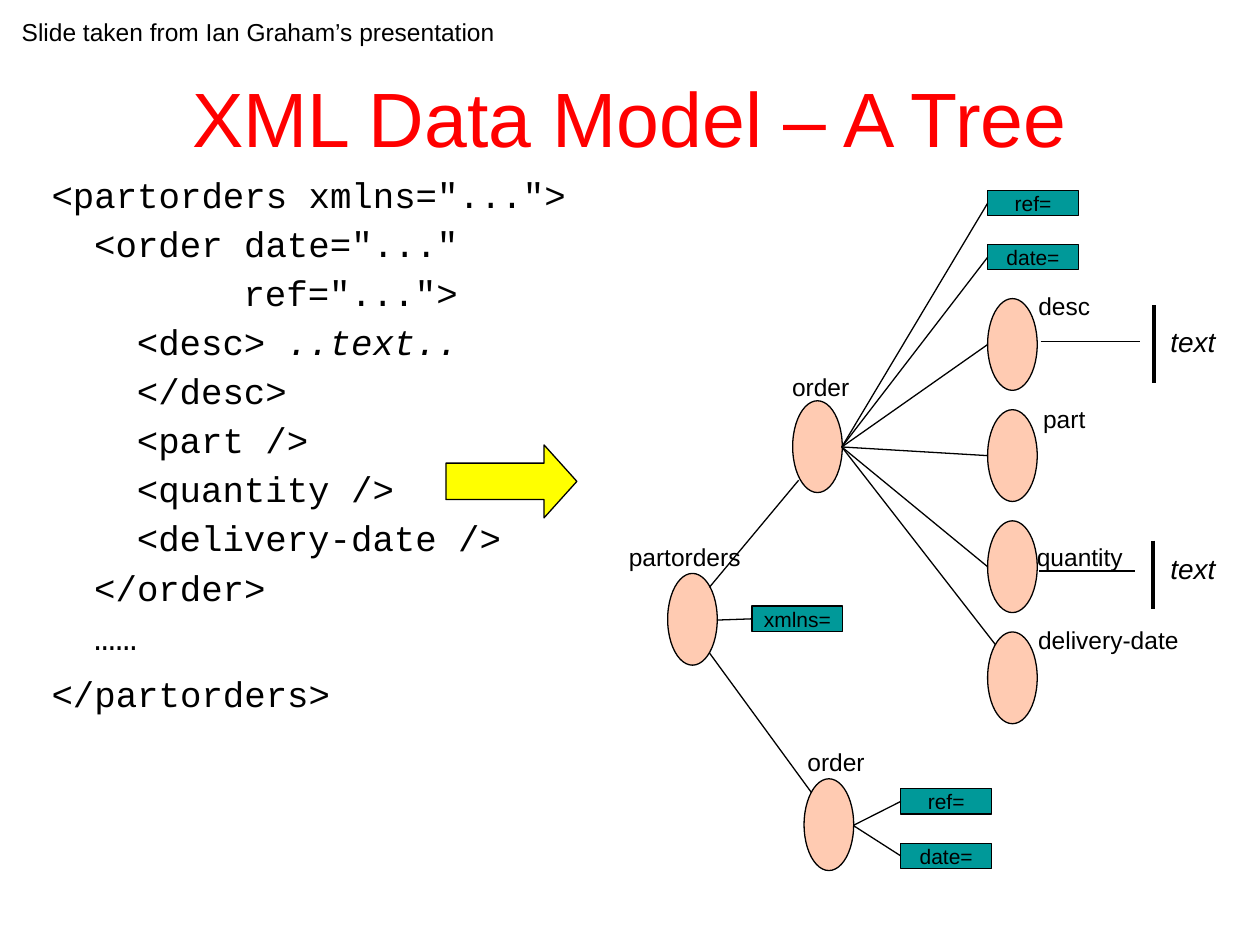
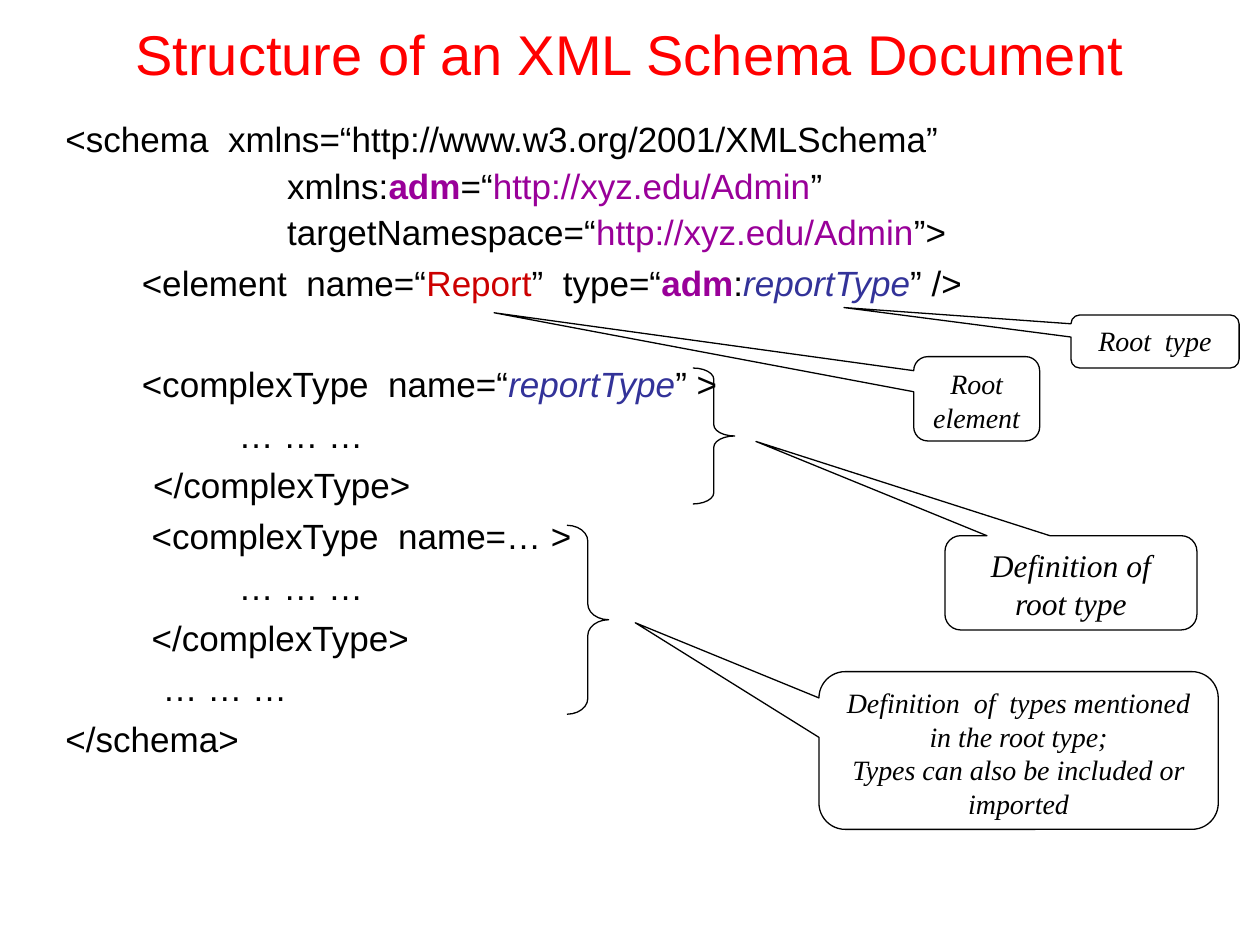
import dataclasses

import lxml.etree
import pptx
import pptx.dml.color
import pptx.enum.shapes
import pptx.enum.text
import pptx.oxml.ns
import pptx.util

Cm = pptx.util.Cm
Pt = pptx.util.Pt
RGB = pptx.dml.color.RGBColor.from_string
SHAPE = pptx.enum.shapes.MSO_SHAPE
ALIGN = pptx.enum.text.PP_ALIGN
ANCHOR = pptx.enum.text.MSO_ANCHOR
qn = pptx.oxml.ns.qn


@dataclasses.dataclass(frozen=True)
class Theme:
    title: str = "FF0000"
    ink: str = "000000"
    node: str = "FF9966"
    attribute: str = "009999"
    arrow: str = "FFFF00"
    namespace: str = "990099"
    element: str = "CC0000"
    type_name: str = "333399"
    sans: str = "Arial"
    mono: str = "Courier New"
    serif: str = "Times New Roman"
    title_size: float = 44
    small_title_size: float = 32
    code_size: float = 20.4
    schema_size: float = 20
    note_size: float = 18
    text_size: float = 16
    label_size: float = 14
    attribute_size: float = 12
    thin: float = 0.75
    thick: float = 2.25


T = Theme()
STYLES = {
    "plain": (T.ink, False, False),
    "italic": (T.ink, False, True),
    "title": (T.title, False, False),
    "prefix": (T.namespace, True, False),
    "uri": (T.namespace, False, False),
    "element": (T.element, False, False),
    "type": (T.type_name, False, True),
}


def add_box(s, kind, box, fill=None):
    place = [Cm(v) for v in box]
    if kind is None:
        return s.shapes.add_textbox(*place)
    sp = s.shapes.add_shape(kind, *place)
    sp.shadow.inherit = False
    sp.line.color.rgb = RGB(T.ink)
    sp.line.width = Pt(T.thin)
    if fill:
        sp.fill.solid()
        sp.fill.fore_color.rgb = RGB(fill)
    else:
        sp.fill.background()
    return sp


def write(sp, paragraphs, size, font=T.sans, align=ALIGN.CENTER, anchor=ANCHOR.MIDDLE, wrap=True):
    tf = sp.text_frame
    tf.word_wrap = wrap
    tf.vertical_anchor = anchor
    if not wrap:
        tf.margin_left = tf.margin_right = 0
    for i, runs in enumerate(paragraphs):
        p = tf.add_paragraph() if i else tf.paragraphs[0]
        p.alignment = align
        for text, style in runs:
            r = p.add_run()
            r.text = text
            r.font.name = font
            r.font.size = Pt(size)
            color, r.font.bold, r.font.italic = STYLES[style]
            r.font.color.rgb = RGB(color)
    return tf


prs = pptx.Presentation()
prs.slide_width = Cm(25.4)
prs.slide_height = Cm(19.05)
tree, schema = [prs.slides.add_slide(prs.slide_layouts[6]) for _ in range(2)]

for s, title, size, box in [
    (tree, "XML Data Model – A Tree", T.title_size, (1.27, 0.76, 22.86, 3.18)),
    (schema, "Structure of an XML Schema Document", T.small_title_size, (1.9, 0.43, 21.6, 1.27)),
]:
    write(add_box(s, None, box), [[(title, "title")]], size)

code_lines = [
    (0, '<partorders xmlns="...">'),
    (2, '<order date="..."'),
    (9, 'ref="...">'),
    (4, "<desc> ", "..text.."),
    (4, "</desc>"),
    (4, "<part />"),
    (4, "<quantity />"),
    (4, "<delivery-date />"),
    (2, "</order>"),
    (2, "……"),
    (0, "</partorders>"),
]
char_width = 0.43
code = [list(zip(texts, ("plain", "italic"))) for _, *texts in code_lines]
tf = write(add_box(tree, None, (0.79, 3.45, 22, 12)), code, T.code_size, T.mono, ALIGN.LEFT, ANCHOR.TOP)
for p, (column, *_) in zip(tf.paragraphs, code_lines):
    p.line_spacing = 0.9
    p.space_before = Pt(6)
    p._p.get_or_add_pPr().set("marL", str(Cm(column * char_width)))
tf.paragraphs[-1].space_before = Pt(10.5)

node_w, node_h = 1, 1.85
child_x, child_top, child_step = 19.91, 6.02, 2.24
children = [(child_x, child_top + i * child_step) for i in range(4)]
for x, y in [(13.46, 11.56), (15.98, 8.08), (16.21, 15.7)] + children:
    sp = add_box(tree, SHAPE.OVAL, (x, y, node_w, node_h), T.node)
    color = sp._element.spPr.find(qn("a:solidFill"))[0]
    lxml.etree.SubElement(color, qn("a:alpha")).set("val", "50000")

root_right = (14.45, 12.5)
order_right = (16.97, 9.01)
last_order_right = (17.2, 16.64)
links = [
    ((14.3, 11.84), (16.1, 9.68), T.thin),
    ((14.3, 13.16), (16.36, 15.98), T.thin),
    (order_right, (20.07, 13), T.thin),
    ((20.98, 6.88), (22.99, 6.88), T.thin),
    ((20.95, 11.51), (22.89, 11.51), T.thin),
    ((23.27, 6.15), (23.27, 7.72), T.thick),
    ((23.24, 10.9), (23.24, 12.27), T.thick),
]
links += [(order_right, (x, y + node_h / 2), T.thin) for x, y in children[:3]]

attr_w, attr_h = 1.83, 0.51
for name, x, y, start in [
    ("ref=", child_x, 3.84, order_right),
    ("date=", child_x, 4.93, order_right),
    ("xmlns=", 15.16, 12.22, root_right),
    ("ref=", 18.16, 15.9, last_order_right),
    ("date=", 18.16, 17, last_order_right),
]:
    sp = add_box(tree, SHAPE.RECTANGLE, (x, y, attr_w, attr_h), T.attribute)
    write(sp, [[(name, "plain")]], T.attribute_size, wrap=False)
    links.append((start, sp, T.thin))

for start, end, width in links:
    target = end if isinstance(end, tuple) else start
    line = tree.shapes.add_connector(
        pptx.enum.shapes.MSO_CONNECTOR.STRAIGHT, *[Cm(v) for v in start + target])
    if target is not end:
        line.end_connect(end, 1)
    line.line.color.rgb = RGB(T.ink)
    line.line.width = Pt(width)
    lxml.etree.SubElement(line._element.spPr, qn("a:effectLst"))

for label, x, y, w in [
    ("partorders", 12.42, 10.8, 2.77),
    ("order", 15.72, 7.37, 1.65),
    ("order", 16.03, 14.94, 1.65),
    ("desc", 20.68, 5.74, 1.55),
    ("part", 20.78, 8.03, 1.35),
    ("quantity", 20.65, 10.8, 2.24),
    ("delivery-date", 20.68, 12.47, 3.33),
    ("Slide taken from Ian Graham’s presentation", 0.18, 0.22, 10.06),
]:
    write(add_box(tree, None, (x, y, w, 0.84)), [[(label, "plain")]], T.label_size, wrap=False)

for y in (6.43, 11):
    write(add_box(tree, None, (23.34, y, 1.42, 0.91)), [[("text", "italic")]], T.text_size, wrap=False)

sp = add_box(tree, SHAPE.RIGHT_ARROW, (8.99, 8.97, 2.64, 1.47), T.arrow)
sp.adjustments[1] = 0.45

uri = ("http://xyz.edu/Admin", "uri")
prefix = ("adm", "prefix")
report_type = ("reportType", "type")
dots = [("… … …", "plain")]
close_type = [("</complexType>", "plain")]
schema_lines = [
    (0, 0.9, 5, [("<schema  xmlns=“http://www.w3.org/2001/XMLSchema”", "plain")]),
    (4.47, 0.9, 5, [("xmlns:", "plain"), prefix, ("=“", "plain"), uri, ("”", "plain")]),
    (4.47, 0.9, 5, [("targetNamespace=“", "plain"), uri, ("”>", "plain")]),
    (1.54, 1, 5, [("<element  name=“", "plain"), ("Report", "element"), ("”  type=“", "plain"),
                  prefix, (":", "plain"), report_type, ("” />", "plain")]),
    (1.54, 1, 33.5, [("<complexType  name=“", "plain"), report_type, ("” >", "plain")]),
    (3.49, 1, 5, dots),
    (1.77, 1, 5, close_type),
    (1.74, 1, 5, [("<complexType  name=… >", "plain")]),
    (3.49, 1, 5, dots),
    (1.74, 1, 5, close_type),
    (1.96, 1, 5, dots),
    (0, 1, 5, [("</schema>", "plain")]),
]
tf = write(add_box(schema, None, (1.07, 2.34, 23.7, 15.67)), [row[3] for row in schema_lines],
           T.schema_size, align=ALIGN.LEFT, anchor=ANCHOR.TOP)
for p, (indent, spacing, before, _) in zip(tf.paragraphs, schema_lines):
    p.line_spacing = float(spacing)
    p.space_before = Pt(before)
    p._p.get_or_add_pPr().set("marL", str(Cm(indent)))

for box, curve in [((13.97, 7.42, 0.84, 2.74), 0.27), ((11.43, 10.59, 0.84, 3.81), 0.38)]:
    sp = add_box(schema, SHAPE.RIGHT_BRACE, box)
    sp.adjustments[0] = curve

for lines, box, tip_x, tip_y, size in [
    (["Root", "element"], (18.42, 7.19, 2.54, 1.7), -3.83, -1.02, T.text_size),
    (["Definition of root type"], (19.05, 10.8, 5.08, 1.9), -1.25, -1.5, T.note_size),
    (["Definition  of  types mentioned in the root type;", "Types can also be included or imported"],
     (16.51, 13.54, 8.05, 3.18), -0.96, -0.81, T.text_size),
    (["Root  type"], (21.59, 6.35, 3.39, 1.07), -1.85, -0.64, T.text_size),
]:
    sp = add_box(schema, SHAPE.ROUNDED_RECTANGULAR_CALLOUT, box)
    sp.adjustments[0] = tip_x
    sp.adjustments[1] = tip_y
    write(sp, [[(text, "italic")] for text in lines], size, T.serif, anchor=ANCHOR.TOP)

prs.save("out.pptx")
